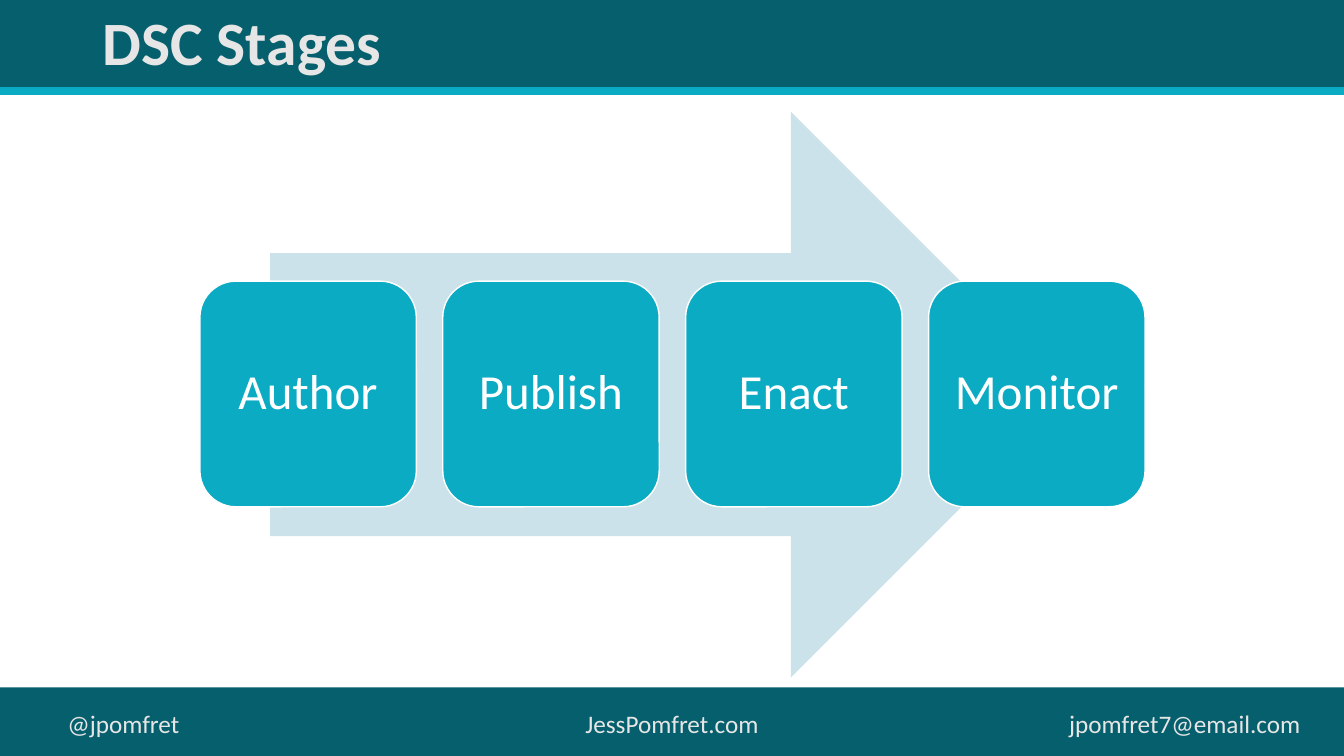
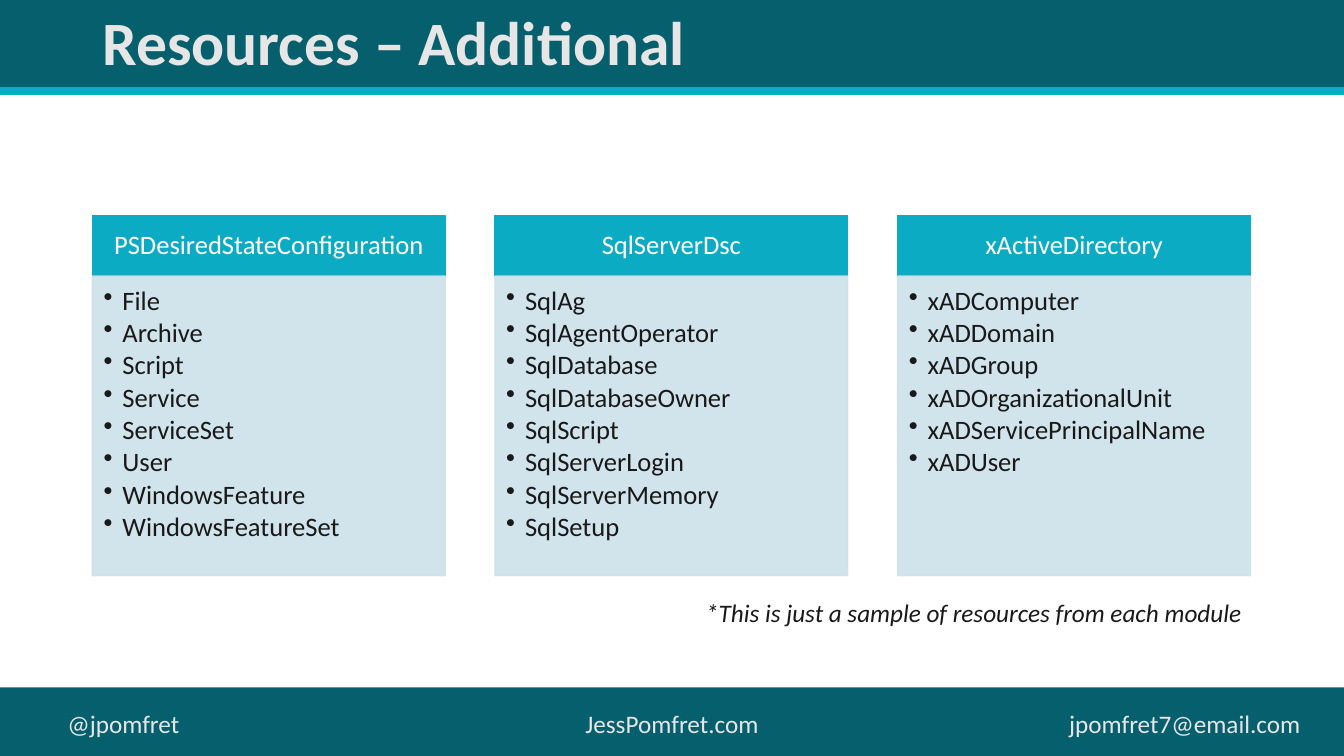
from lxml import etree
from pptx import Presentation
from pptx.dml.color import RGBColor
from pptx.enum.shapes import MSO_CONNECTOR, MSO_SHAPE
from pptx.enum.text import MSO_ANCHOR, MSO_AUTO_SIZE, PP_ALIGN
from pptx.oxml.ns import qn
from pptx.util import Pt

RECT, ROUND, ARROW = MSO_SHAPE.RECTANGLE, MSO_SHAPE.ROUNDED_RECTANGLE, MSO_SHAPE.RIGHT_ARROW
LEFT, MID, RIGHT = PP_ALIGN.LEFT, PP_ALIGN.CENTER, PP_ALIGN.RIGHT
TOP, MIDDLE = MSO_ANCHOR.TOP, MSO_ANCHOR.MIDDLE

FONT = "Calibri"
DARK, TEAL, PALE = "065F6D", "0BABC4", "CCE2EA"
GREY, INK, WHITE = "E7E6E6", "191919", "FFFFFF"
WIDE, HIGH, BAND = 960, 540, 64.8

STAGES = ["Author", "Publish", "Enact", "Monitor"]
MODULES = {
    "PSDesiredStateConfiguration": [
        "File", "Archive", "Script", "Service", "ServiceSet", "User",
        "WindowsFeature", "WindowsFeatureSet"],
    "SqlServerDsc": [
        "SqlAg", "SqlAgentOperator", "SqlDatabase", "SqlDatabaseOwner",
        "SqlScript", "SqlServerLogin", "SqlServerMemory", "SqlSetup"],
    "xActiveDirectory": [
        "xADComputer", "xADDomain", "xADGroup", "xADOrganizationalUnit",
        "xADServicePrincipalName", "xADUser"],
}


def block(slide, kind, box, fill, line=None):
    """Add a flat preset shape; box is left, top, width, height in points."""
    shape = slide.shapes.add_shape(kind, *map(Pt, box))
    shape.shadow.inherit = False
    shape.fill.solid()
    shape.fill.fore_color.rgb = RGBColor.from_string(fill)
    if line:
        shape.line.color.rgb = RGBColor.from_string(line)
        shape.line.width = Pt(1)
    else:
        shape.line.fill.background()
    return shape


def write(shape, lines, size, color, align=LEFT, anchor=MIDDLE, space=0.9,
          bold=False, italic=False):
    """Fill a shape with one paragraph per line and return the paragraphs."""
    frame = shape.text_frame
    frame.word_wrap = True
    frame.auto_size = MSO_AUTO_SIZE.NONE
    frame.vertical_anchor = anchor
    for i, text in enumerate(lines):
        para = frame.add_paragraph() if i else frame.paragraphs[0]
        para.alignment = align
        para.line_spacing = space
        run = para.add_run()
        run.text = text
        font = run.font
        font.name, font.size = FONT, Pt(size)
        font.bold, font.italic = bold, italic
        font.color.rgb = RGBColor.from_string(color)
    return frame.paragraphs


deck = Presentation()
deck.slide_width, deck.slide_height = Pt(WIDE), Pt(HIGH)
layout = deck.slide_layouts[5]

# Layout: title place, bands, rule and footer
for holder in list(layout.placeholders):
    if holder.placeholder_format.idx:
        holder.element.getparent().remove(holder.element)
    else:
        holder.left, holder.top = Pt(66), Pt(0)
        holder.width, holder.height = Pt(828), Pt(BAND)

slides = [deck.slides.add_slide(layout) for _ in range(2)]
first, second = slides

shared = [block(first, RECT, (0, 0, WIDE, BAND), DARK),
          block(first, RECT, (0, 491, WIDE, 49), DARK)]
rule = first.shapes.add_connector(MSO_CONNECTOR.STRAIGHT, 0, Pt(BAND), Pt(WIDE), Pt(BAND))
rule.line.color.rgb = RGBColor.from_string(TEAL)
rule.line.width = Pt(6)
etree.SubElement(rule.element.spPr, qn("a:effectLst"))
shared.append(rule)
for left, text, align in [(41, "@jpomfret", LEFT),
                          (330, "JessPomfret.com", MID),
                          (636, "jpomfret7@email.com", RIGHT)]:
    foot = first.shapes.add_textbox(Pt(left), Pt(502.5), Pt(300), Pt(29))
    write(foot, [text], 18, GREY, align, TOP, 1)
    shared.append(foot)
for shape in shared:
    layout.element.cSld.spTree.append(shape.element)

for slide, text in zip(slides, ["DSC Stages", "Resources – Additional"]):
    write(slide.shapes.title, [text], 44, GREY, bold=True)

# Stages on an arrow
block(first, ARROW, (193, 79.9, 574, 404), PALE)
for i, stage in enumerate(STAGES):
    card = block(first, ROUND, (142.8 + 173.5 * i, 200.8, 154.6, 161.2), TEAL, WHITE)
    write(card, [stage], 35, WHITE, MID)

# One column per module
for i, (module, names) in enumerate(MODULES.items()):
    left = 66 + 287.6 * i
    head = block(second, RECT, (left, 154, 252, 43.2), TEAL, TEAL)
    write(head, [module], 19, WHITE, MID)

    body = block(second, RECT, (left, 197.2, 252, 214), PALE, PALE)
    for color in list(body.element.spPr.iter(qn("a:srgbClr"))):
        etree.SubElement(color, qn("a:alpha"), val="90000")
    frame = body.text_frame
    frame.margin_left = frame.margin_top = Pt(8)
    for para in write(body, names, 19, INK, anchor=TOP):
        para.space_after = Pt(2.55)
        props = para._p.get_or_add_pPr()
        props.set("marL", str(Pt(13.5)))
        props.set("indent", str(Pt(-13.5)))
        etree.SubElement(props, qn("a:buChar"), char="•")

note = second.shapes.add_textbox(Pt(66), Pt(423.4), Pt(828), Pt(29))
write(note, ["*This is just a sample of resources from each module"], 18, INK,
      RIGHT, TOP, 1, italic=True)

deck.save("out.pptx")
